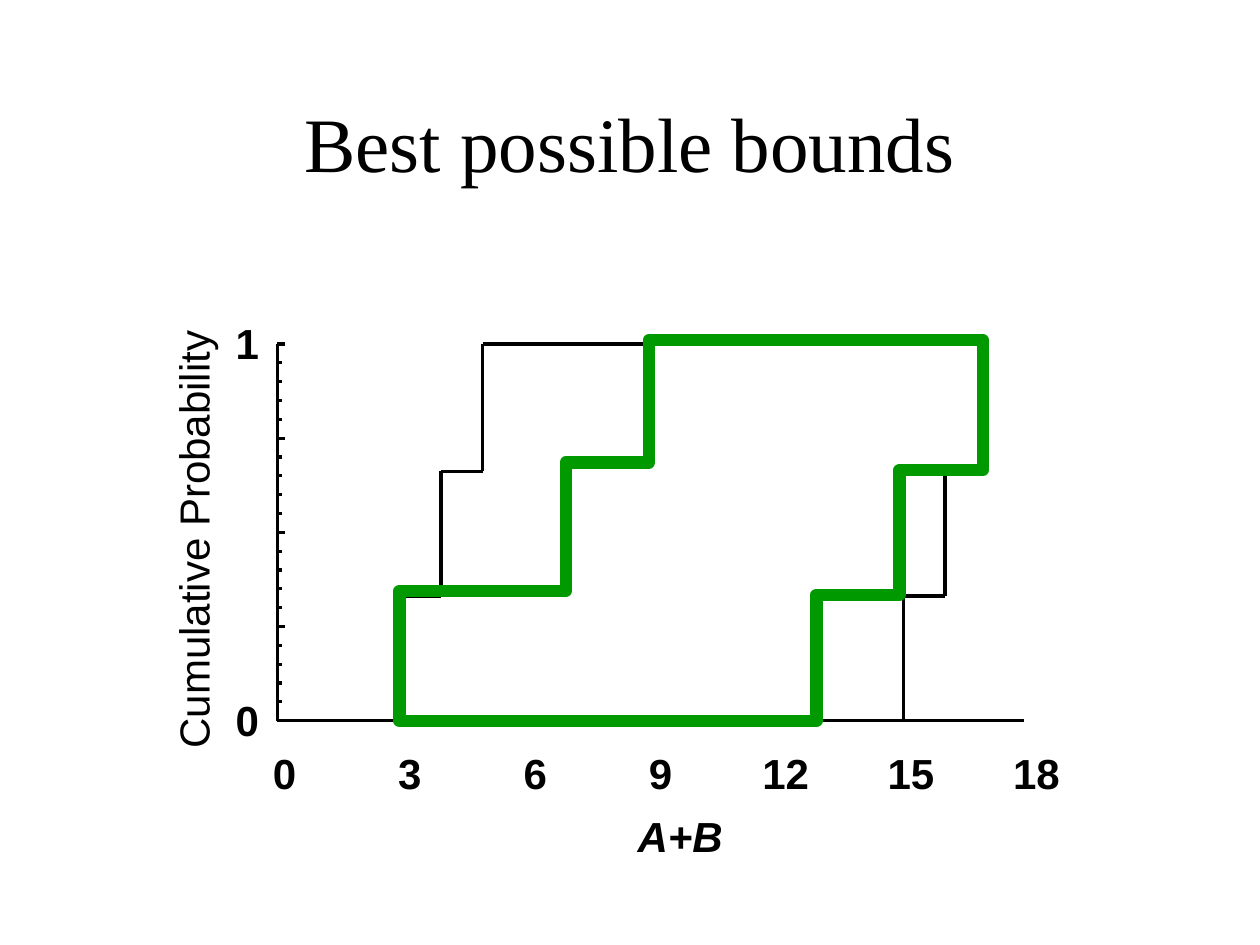
import pptx
import pptx.dml.color
import pptx.enum.shapes
import pptx.enum.text
import pptx.util
from itertools import pairwise
from lxml import etree
from pptx.util import Inches, Pt

BLACK, GREEN = "000000", "009900"
TITLE = "Best possible bounds"
X_LABELS = [0, 3, 6, 9, 12, 15, 18]
Y_LABELS = [("1", 2.52), ("0", 5.51)]
X_TITLE, Y_TITLE = "A+B", "Cumulative Probability"

AXIS_X, AXIS_RIGHT, AXIS_TOP, AXIS_BOTTOM = 2.2, 8.13, 2.73, 5.72
TICKS, MAJOR_EVERY = 20, 5
LABEL_X, LABEL_STEP, LABEL_Y, DIGIT_W = 2.26, 0.995, 5.93, 0.19

OUTER_BOUNDS = [
    [(3.18, 5.72), (3.18, 4.73), (3.5, 4.73), (3.5, 3.74),
     (3.83, 3.74), (3.83, 2.73), (7.8, 2.73)],
    [(7.17, 5.72), (7.17, 4.73), (7.5, 4.73), (7.5, 3.74),
     (7.8, 3.74), (7.8, 2.73)],
]
BEST_BOUNDS = [
    (3.17, 5.72), (3.17, 4.69), (4.49, 4.69), (4.49, 3.67), (5.15, 3.67),
    (5.15, 2.7), (7.8, 2.7), (7.8, 3.73), (7.14, 3.73), (7.14, 4.72),
    (6.48, 4.72), (6.48, 5.72),
]
LABEL = dict(name="Arial", size=Pt(24), bold=True)


def rgb(color):
    return pptx.dml.color.RGBColor.from_string(color)


def add_text(s, text, box, font):
    sp = s.shapes.add_textbox(*map(Inches, box))
    tf = sp.text_frame
    p = tf.paragraphs[0]
    r = p.add_run()
    r.text = text
    for key, value in font.items():
        setattr(r.font, key, value)
    r.font.color.rgb = rgb(BLACK)
    return sp


def add_label(s, text, box, font=LABEL):
    """Add unwrapped text without margins."""
    sp = add_text(s, text, box, font)
    tf = sp.text_frame
    for side in ("left", "top", "right", "bottom"):
        setattr(tf, f"margin_{side}", 0)
    tf.word_wrap = False
    tf.auto_size = pptx.enum.text.MSO_AUTO_SIZE.SHAPE_TO_FIT_TEXT
    return sp


def add_line(s, start, end):
    line = s.shapes.add_connector(
        pptx.enum.shapes.MSO_CONNECTOR.STRAIGHT, *map(Inches, start + end))
    line.line.color.rgb = rgb(BLACK)
    line.line.width = Pt(1.75)
    etree.SubElement(line._element.spPr, pptx.oxml.ns.qn("a:effectLst"))


def add_axes(s):
    add_line(s, (AXIS_X, AXIS_TOP), (AXIS_X, AXIS_BOTTOM))
    for i in range(TICKS + 1):
        y = AXIS_BOTTOM - i * (AXIS_BOTTOM - AXIS_TOP) / TICKS
        length = 0.04 if i % MAJOR_EVERY else 0.06
        add_line(s, (AXIS_X, y), (AXIS_X + length, y))
    add_line(s, (AXIS_X, AXIS_BOTTOM), (AXIS_RIGHT, AXIS_BOTTOM))


def add_outline(s, points):
    """Add a closed, unfilled outline with rounded corners."""
    start, *rest = [tuple(map(Inches, point)) for point in points]
    builder = s.shapes.build_freeform(*start)
    builder.add_line_segments(rest, close=True)
    sp = builder.convert_to_shape()
    sp.shadow.inherit = False
    sp.fill.background()
    sp.line.color.rgb = rgb(GREEN)
    sp.line.width = Pt(7)
    etree.SubElement(sp.line._get_or_add_ln(), pptx.oxml.ns.qn("a:round"))


def main():
    prs = pptx.Presentation()
    prs.slide_width, prs.slide_height = Inches(10), Inches(7.5)
    s = prs.slides.add_slide(prs.slide_layouts[6])

    title = add_text(s, TITLE, (0.75, 0.5, 8.5, 1.25),
                     dict(name="Times New Roman", size=Pt(44)))
    tf = title.text_frame
    tf.word_wrap = True
    tf.vertical_anchor = pptx.enum.text.MSO_ANCHOR.MIDDLE
    tf.paragraphs[0].alignment = pptx.enum.text.PP_ALIGN.CENTER

    for text, top in Y_LABELS:
        add_label(s, text, (1.87, top, DIGIT_W, 0.4))
    for i, value in enumerate(X_LABELS):
        width = DIGIT_W * len(str(value))
        left = LABEL_X + i * LABEL_STEP - width / 2
        add_label(s, str(value), (left, LABEL_Y, width, 0.4))

    add_axes(s)
    for bound in OUTER_BOUNDS:
        for start, end in pairwise(bound):
            add_line(s, start, end)

    add_label(s, X_TITLE, (5.06, 6.43, 0.68, 0.4), LABEL | dict(italic=True))
    y_title = add_label(s, Y_TITLE, (-0.13, 4.08, 3.32, 0.4),
                        LABEL | dict(bold=False))
    y_title.rotation = 270
    add_outline(s, BEST_BOUNDS)
    prs.save("out.pptx")


if __name__ == "__main__":
    main()
